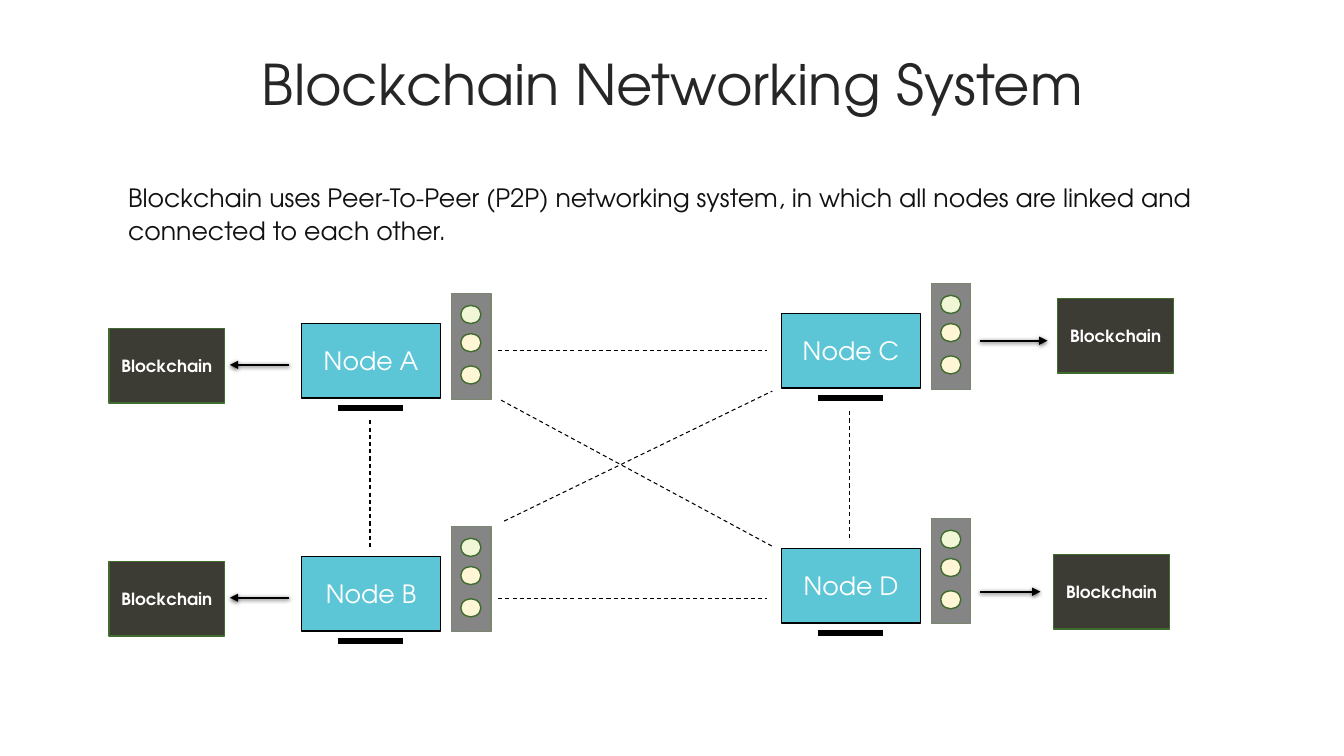
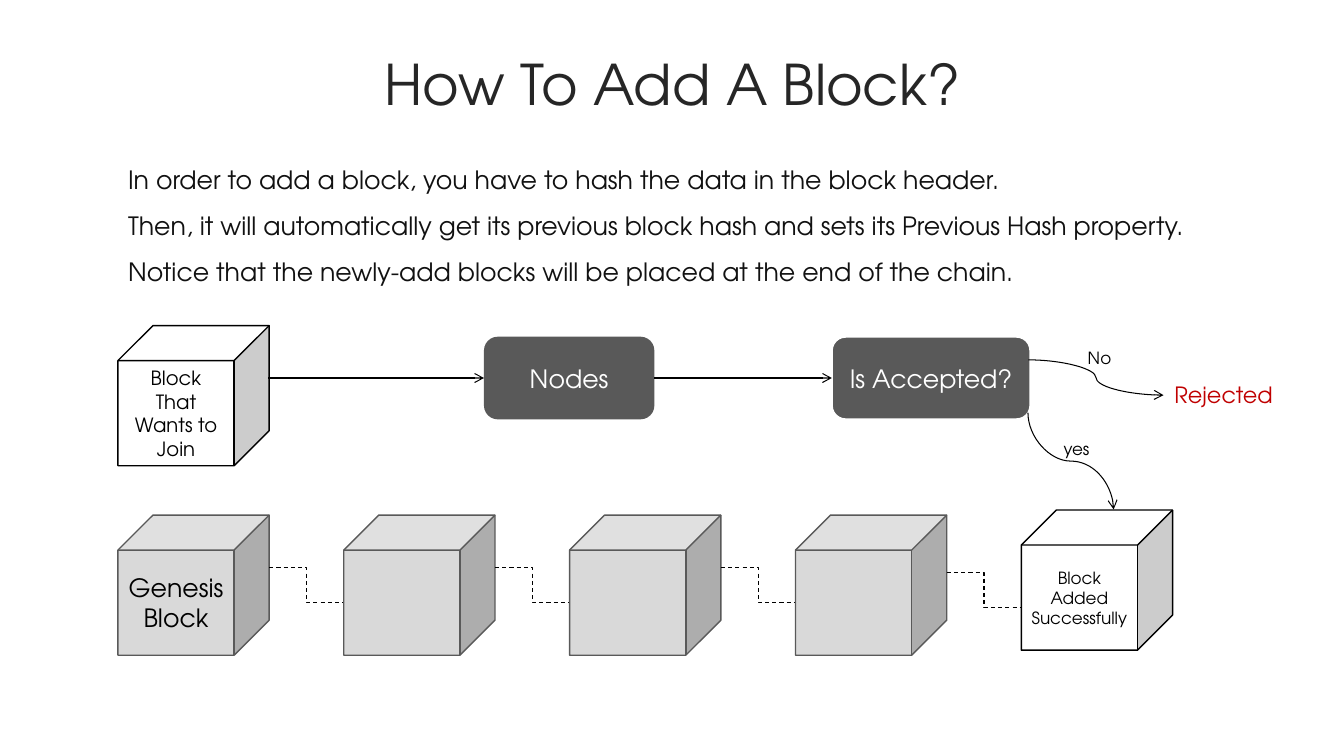
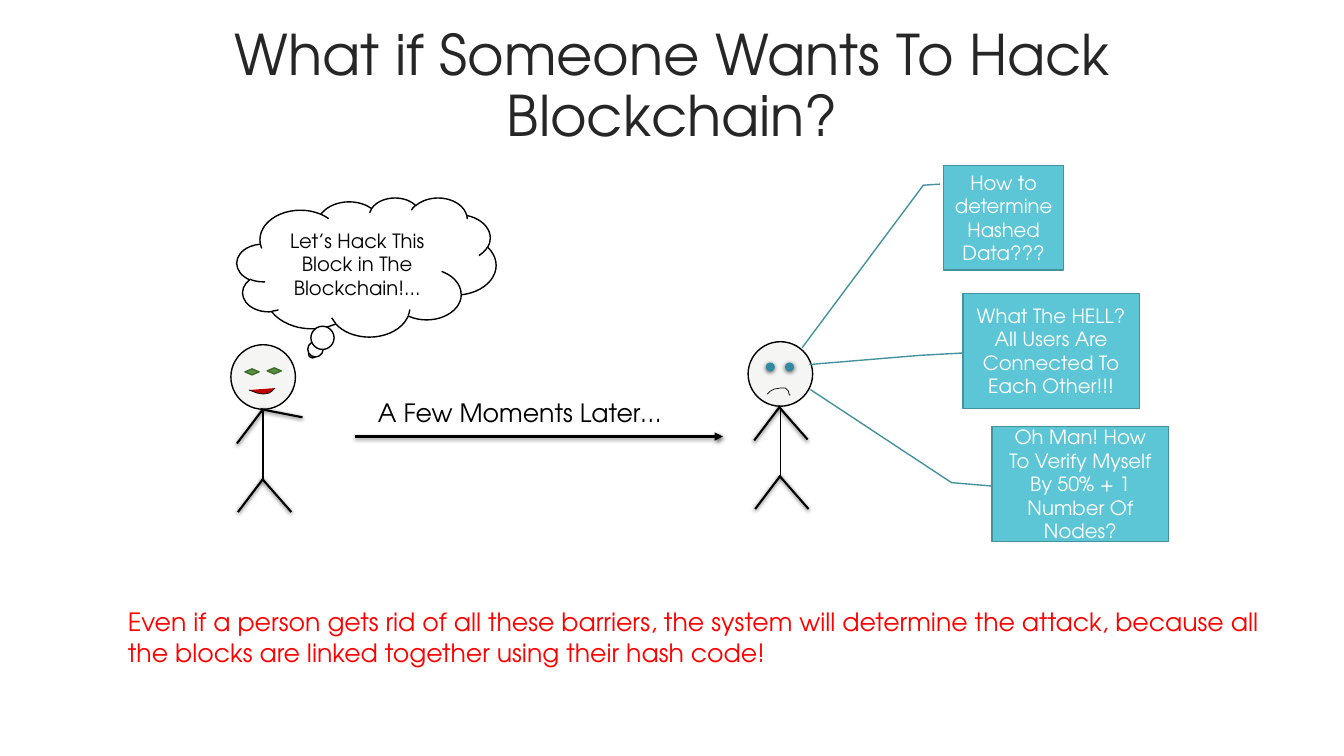
from lxml import etree
from pptx import Presentation
from pptx.dml.color import RGBColor
from pptx.enum.dml import MSO_LINE
from pptx.enum.shapes import MSO_CONNECTOR, MSO_SHAPE
from pptx.enum.text import MSO_ANCHOR, MSO_AUTO_SIZE, PP_ALIGN
from pptx.oxml import parse_xml
from pptx.oxml.ns import nsdecls, qn
from pptx.util import Inches, Pt

RECTANGLE, ELLIPSE, CUBE = MSO_SHAPE.RECTANGLE, MSO_SHAPE.OVAL, MSO_SHAPE.CUBE
ROUNDED, DIAMOND = MSO_SHAPE.ROUNDED_RECTANGLE, MSO_SHAPE.FLOWCHART_DECISION
CALLOUT, CLOUD = MSO_SHAPE.LINE_CALLOUT_2, MSO_SHAPE.CLOUD_CALLOUT
STRAIGHT, ELBOW, CURVE = MSO_CONNECTOR.STRAIGHT, MSO_CONNECTOR.ELBOW, MSO_CONNECTOR.CURVE
DASH = MSO_LINE.DASH
CENTER, LEFT = PP_ALIGN.CENTER, PP_ALIGN.LEFT
MIDDLE, TOP = MSO_ANCHOR.MIDDLE, MSO_ANCHOR.TOP

FONT = "TeX Gyre Adventor"
BLACK, WHITE = "000000", "FFFFFF"
TEAL, TEAL_EDGE, EYE_BLUE = "5CC6D6", "44929E", "3189A2"
CHARCOAL, GREEN_EDGE, LEAF = "3C3C34", "406B2F", "57903F"
GRAY, LIGHT_GRAY, RED = "595959", "D9D9D9", "C00000"
SHADOW = (f'<a:outerShdw {nsdecls("a")} blurRad="38100" dist="12700" dir="5400000" rotWithShape="0">'
          '<a:srgbClr val="000000"><a:alpha val="63000"/></a:srgbClr></a:outerShdw>')
hex_color = RGBColor.from_string


def add_box(page, kind, at, fill=None, line=None, width=1, text="", size=18, color=WHITE, bold=False):
    """Add a shape with centred text, or a plain text box when kind is None."""
    place = [Inches(length) for length in at]
    if kind is None:
        box = page.shapes.add_textbox(*place)
    else:
        box = page.shapes.add_shape(kind, *place)
        box.shadow.inherit = False
    if fill:
        box.fill.solid()
        box.fill.fore_color.rgb = hex_color(fill)
    if line:
        box.line.color.rgb = hex_color(line)
        box.line.width = Pt(width)
    else:
        box.line.fill.background()
    if text:
        frame = box.text_frame
        frame.word_wrap = True
        frame.vertical_anchor = MIDDLE if kind else TOP
        frame.text = text
        for para in frame.paragraphs:
            para.alignment = CENTER if kind else LEFT
            for span in para.runs:
                for name, value in {"name": FONT, "size": Pt(size), "bold": bold}.items():
                    setattr(span.font, name, value)
                span.font.color.rgb = hex_color(color)
    return box


def add_line(page, start, end, width=0.75, kind=STRAIGHT, dash=None, arrow=None):
    """Add a black connector; lines heavier than 1 pt cast a soft shadow."""
    line = page.shapes.add_connector(kind, *[Inches(length) for length in (*start, *end)])
    line.line.color.rgb = hex_color(BLACK)
    line.line.width = Pt(width)
    if dash:
        line.line.dash_style = dash
    properties = line.element.spPr
    if arrow:
        etree.SubElement(properties.find(qn("a:ln")), qn("a:tailEnd"), type=arrow)
    effects = etree.SubElement(properties, qn("a:effectLst"))
    if width > 1:
        effects.append(parse_xml(SHADOW))
    return line


deck = Presentation()
deck.slide_width, deck.slide_height = Inches(13.33), Inches(7.5)

# Shared title and body styles live on the master
master = deck.slide_master
for tag, align, spacing, before, size, color in [
    ("p:titleStyle", "ctr", 90, 0, 40, "262626"),
    ("p:bodyStyle", "l", 110, 9, 18, "111111"),
]:
    style = master.element.find(f".//{qn(tag)}/{qn('a:lvl1pPr')}")
    style.getparent().replace(style, parse_xml(
        f'<a:lvl1pPr {nsdecls("a")} marL="0" indent="0" algn="{align}">'
        f'<a:lnSpc><a:spcPct val="{spacing * 1000}"/></a:lnSpc>'
        f'<a:spcBef><a:spcPts val="{before * 100}"/></a:spcBef><a:buNone/>'
        f'<a:defRPr sz="{size * 100}"><a:solidFill><a:srgbClr val="{color}"/></a:solidFill>'
        f'<a:latin typeface="{FONT}"/></a:defRPr></a:lvl1pPr>'))

TITLE_AND_BODY, TITLE_ONLY = deck.slide_layouts[1], deck.slide_layouts[5]
pages = []
for layout, title, body, body_top, body_height in [
    (TITLE_AND_BODY, "Blockchain Networking System",
     "Blockchain uses Peer-To-Peer (P2P) networking system, in which all nodes are linked and "
     "connected to each other.", 1.73, 0.88),
    (TITLE_AND_BODY, "How To Add A Block?",
     "In order to add a block, you have to hash the data in the block header.\n"
     "Then, it will automatically get its previous block hash and sets its Previous Hash property.\n"
     "Notice that the newly-add blocks will be placed at the end of the chain.", 1.55, 1.5),
    (TITLE_ONLY, "What if Someone Wants To Hack Blockchain?", "", 0, 0),
]:
    page = deck.slides.add_slide(layout)
    filled = [(page.shapes.title, title, 0.12, 1.5)]
    if body:
        filled.append((page.placeholders[1], body, body_top, body_height))
    for holder, text, top, height in filled:
        holder.left, holder.top = Inches(1.17), Inches(top)
        holder.width, holder.height = Inches(11), Inches(height)
        holder.text_frame.text = text
        holder.text_frame.auto_size = MSO_AUTO_SIZE.NONE
    pages.append(page)
network, adding, hacking = pages

# Network: four nodes, each with a monitor, a tower and its copy of the chain
for name, left, top, arrow_start, arrow_end, arrow_y, ledger_left, ledger_top in [
    ("Node A", 2.99, 3.21, 2.87, 2.28, 3.62, 1.08, 3.26),
    ("Node C", 7.75, 3.11, 9.72, 10.39, 3.38, 10.49, 2.96),
    ("Node B", 2.99, 5.52, 2.87, 2.28, 5.93, 1.08, 5.57),
    ("Node D", 7.75, 5.44, 9.72, 10.32, 5.87, 10.45, 5.5),
]:
    add_box(network, RECTANGLE, (left, top, 1.38, 0.74), TEAL, BLACK, text=name)
    add_box(network, RECTANGLE, (left + 0.35, top + 0.8, 0.67, 0.08), BLACK, WHITE, 1.5)
    tower = add_box(network, RECTANGLE, (left + 1.49, top - 0.3, 0.39, 1.05), "0D0D0D", "7A876E", 0.75)
    tower_color = tower.element.spPr.find(f"{qn('a:solidFill')}/{qn('a:srgbClr')}")
    etree.SubElement(tower_color, qn("a:alpha"), val="50000")
    for drop, lamp in [(-0.18, "F1F6D6"), (0.1, "FEF6D5"), (0.42, "FEF6D5")]:
        add_box(network, ELLIPSE, (left + 1.58, top + drop, 0.2, 0.18), lamp, GREEN_EDGE)
    add_line(network, (arrow_start, arrow_y), (arrow_end, arrow_y), 1.5, arrow="triangle")
    add_box(network, RECTANGLE, (ledger_left, ledger_top, 1.15, 0.74), CHARCOAL, GREEN_EDGE,
            text="Blockchain", size=12, bold=True)

for start, end in [
    ((4.94, 3.48), (7.61, 3.48)), ((3.67, 4.17), (3.67, 5.44)),
    ((4.94, 5.94), (7.61, 5.94)), ((8.43, 4.08), (8.43, 5.35)),
    ((5, 5.17), (7.66, 3.88)), ((4.97, 3.97), (7.66, 5.42)),
]:
    add_line(network, start, end, dash=DASH)

# Adding a block: the chain below, the decision flow above
CUBE_WIDTH, CUBE_HEIGHT, CUBE_STEP, CHAIN_LEFT = 1.5, 1.39, 2.24, 1.17
for index, text in enumerate(["Genesis\nBlock", "", "", ""]):
    left = CHAIN_LEFT + index * CUBE_STEP
    link_top = 5.68 if index == 3 else 5.63
    add_box(adding, CUBE, (left, 5.11, CUBE_WIDTH, CUBE_HEIGHT), LIGHT_GRAY, GRAY, text=text, color=BLACK)
    add_line(adding, (left + CUBE_WIDTH, link_top), (left + CUBE_STEP, link_top + 0.35),
             kind=ELBOW, dash=DASH)

for left, top, text, size in [
    (CHAIN_LEFT, 3.23, "Block That Wants to Join", 14),
    (CHAIN_LEFT + 4 * CUBE_STEP, 5.06, "Block Added Successfully", 12),
]:
    add_box(adding, CUBE, (left, top, CUBE_WIDTH, CUBE_HEIGHT), WHITE, BLACK,
            text=text, size=size, color=BLACK)

nodes = add_box(adding, ROUNDED, (4.8, 3.34, 1.69, 0.82), GRAY, text="Nodes")
decision = add_box(adding, ROUNDED, (8.25, 3.34, 1.97, 0.82), GRAY, WHITE, 1.5, text="Is Accepted?")
to_nodes = add_line(adding, (2.66, 3.75), (4.8, 3.75), arrow="arrow")
to_nodes.end_connect(nodes, 1)
to_decision = add_line(adding, (6.49, 3.75), (8.25, 3.75), arrow="arrow")
to_decision.begin_connect(nodes, 3)
to_decision.end_connect(decision, 1)
add_line(adding, (10.2, 3.57), (11.54, 3.92), kind=CURVE, arrow="arrow")
accepted = add_line(adding, (11.1, 4.15), (10.14, 5), kind=CURVE, arrow="arrow")
accepted.element.spPr.find(qn("a:xfrm")).set("rot", str(270 * 60000))

for at, text, size, color in [
    ((10.45, 4.3, 0.6, 0.3), "yes", 12, BLACK),
    ((10.69, 3.4, 0.6, 0.3), "No", 12, BLACK),
    ((11.55, 3.73, 1.2, 0.37), "Rejected", 16, RED),
]:
    add_box(adding, None, at, text=text, size=size, color=color)

# Hacking: two stick figures, placed by the middle and the top of the head
SMILE = [(-0.14, 0.45), (-0.06, 0.48), (0, 0.49), (0.06, 0.48), (0.09, 0.46), (0.12, 0.43)]
FROWN = [(-0.13, 0.52), (-0.1, 0.49), (-0.06, 0.47), (0, 0.46), (0.05, 0.46), (0.08, 0.49),
         (0.09, 0.53), (0.1, 0.53)]
for middle, top, hand, mouth_points, mouth_fill, eye_kind, eyes, eye_size, eye_fill, eye_edge, eye_width in [
    (7.74, 3.39, (0.27, 0.97), FROWN, None,
     ELLIPSE, [(0.05, 0.21), (-0.14, 0.21)], (0.08, 0.08), EYE_BLUE, EYE_BLUE, 0.5),
    (2.61, 3.42, (0.39, 0.72), SMILE, RED,
     DIAMOND, [(-0.18, 0.24), (0.04, 0.23)], (0.14, 0.06), LEAF, GREEN_EDGE, 1),
]:
    add_box(hacking, ELLIPSE, (middle - 0.32, top, 0.64, 0.64), "F5F6F4", BLACK)
    for start, end, width in [
        ((0, 0.64), (0, 1.33), 1),
        ((0, 1.33), (-0.25, 1.66), 1.5),
        ((-0.01, 1.33), (0.28, 1.66), 1.5),
        ((-0.02, 0.64), hand, 1.5),
        ((-0.01, 0.65), (-0.26, 0.98), 1.5),
    ]:
        add_line(hacking, (middle + start[0], top + start[1]), (middle + end[0], top + end[1]), width)

    corners = [(Inches(middle + x), Inches(top + y)) for x, y in mouth_points]
    outline = hacking.shapes.build_freeform(*corners[0])
    outline.add_line_segments(corners[1:], close=False)
    mouth = outline.convert_to_shape()
    mouth.shadow.inherit = False
    if mouth_fill:
        mouth.fill.solid()
        mouth.fill.fore_color.rgb = hex_color(mouth_fill)
    else:
        mouth.fill.background()
    mouth.line.color.rgb = hex_color(BLACK)
    mouth.line.width = Pt(0.5)

    for x, y in eyes:
        eye = add_box(hacking, eye_kind, (middle + x, top + y, *eye_size), eye_fill, eye_edge, eye_width)
        if eye_kind == ELLIPSE:
            eye.element.spPr.find(qn("a:effectLst")).append(parse_xml(SHADOW))

for at, pointer, text in [
    ((9.36, 1.64, 1.19, 1.04), (0.18, -0.03, 0.19, -0.17, 1.74, -1.18),
     "How to determine Hashed Data???"),
    ((9.55, 2.91, 1.75, 1.14), (0.52, 0, 0.54, -0.24, 0.62, -0.87),
     "What The HELL? All Users Are Connected To Each Other!!!"),
    ((9.84, 4.23, 1.75, 1.14), (0.52, 0, 0.49, -0.23, -0.32, -1.03),
     "Oh Man! How To Verify Myself By 50% + 1 Number Of Nodes?"),
]:
    worry = add_box(hacking, CALLOUT, at, TEAL, TEAL_EDGE, text=text, size=14)
    for index, value in enumerate(pointer):
        worry.adjustments[index] = value

add_line(hacking, (3.52, 4.33), (7.17, 4.33), 1.5, arrow="triangle")
add_box(hacking, None, (3.65, 3.89, 3.33, 0.4), text="A Few Moments Later…", color=BLACK)
add_box(hacking, CLOUD, (2.35, 1.96, 2.57, 1.38), WHITE, BLACK,
        text="Let’s Hack This Block in The Blockchain!...", size=14, color=BLACK)
add_box(hacking, None, (1.17, 5.97, 11.49, 0.71), color="FF0000",
        text="Even if a person gets rid of all these barriers, the system will determine the attack, "
             "because all the blocks are linked together using their hash code!")

deck.save("out.pptx")
